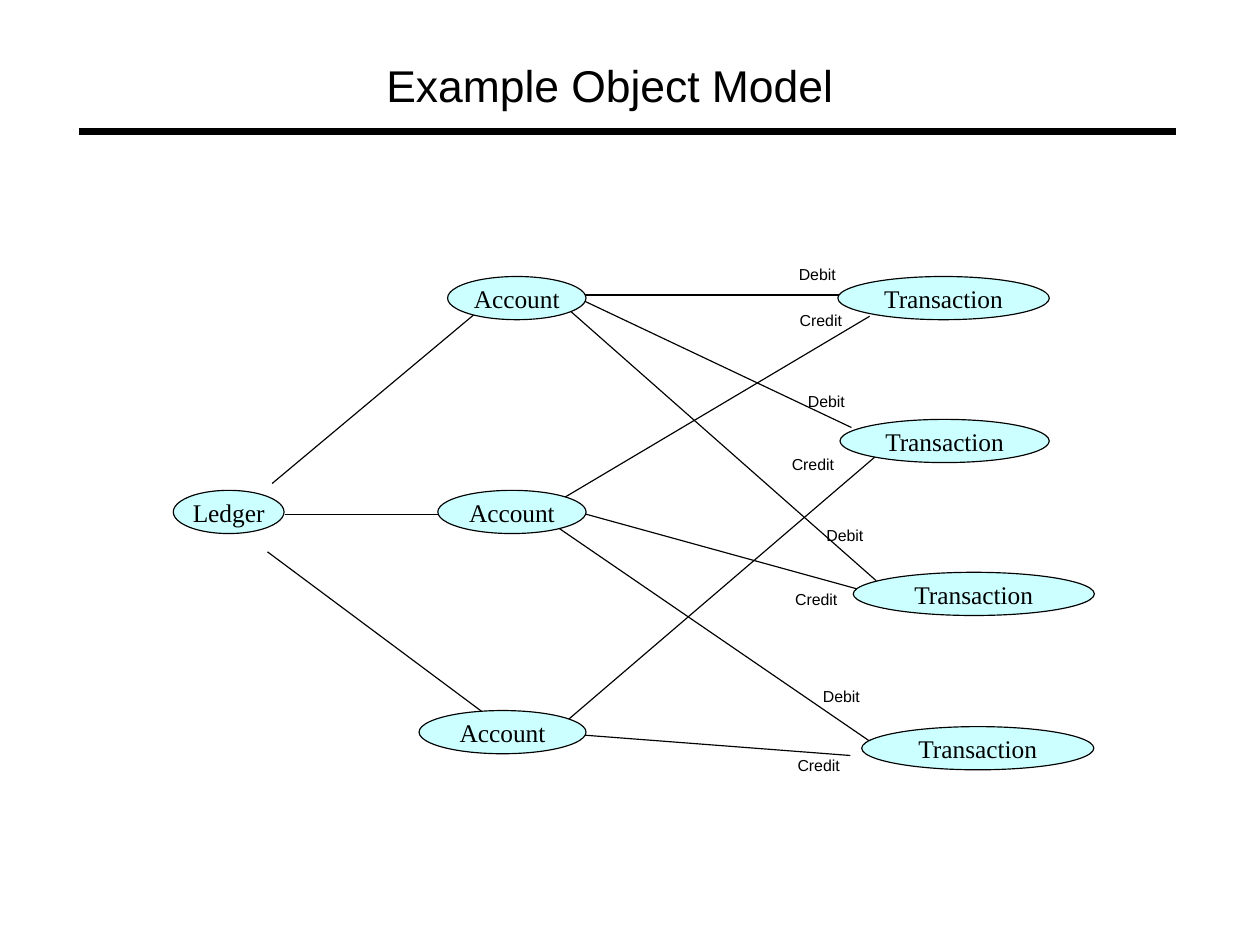
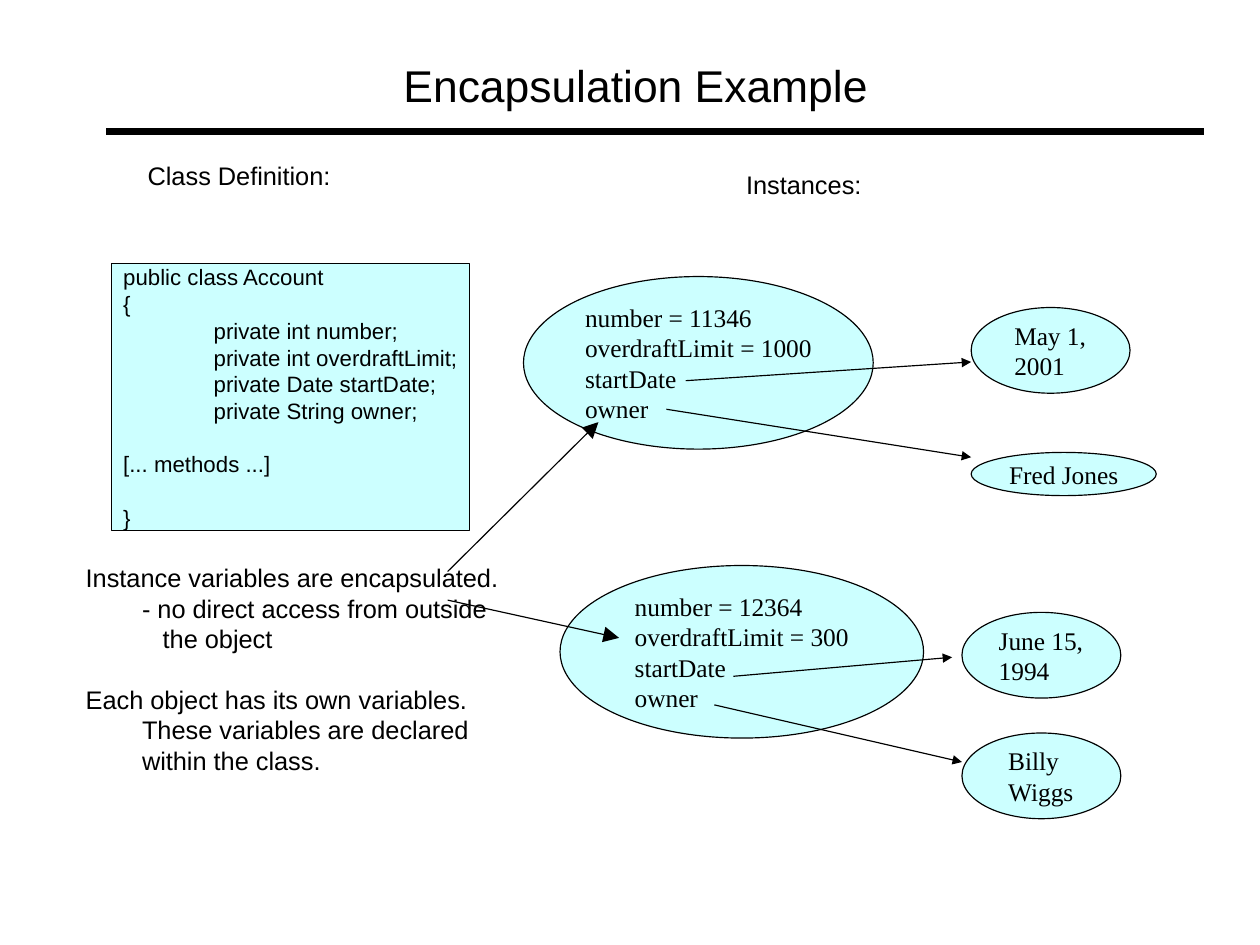
from lxml import etree
from pptx import Presentation
from pptx.dml.color import RGBColor
from pptx.enum.shapes import MSO_CONNECTOR, MSO_SHAPE
from pptx.enum.text import MSO_ANCHOR, PP_ALIGN
from pptx.oxml.ns import qn
from pptx.util import Pt

BLACK = RGBColor(0x00, 0x00, 0x00)
PALE_CYAN = RGBColor(0xCC, 0xFF, 0xFF)
SANS = "Arial"
SERIF = "Times New Roman"
BODY_SIZE = 16
CODE_SIZE = 14
LABEL_SIZE = 10
TITLE_SIZE = 28
LEADING = 1.2
THIN = 0.75
RULE_WIDTH = 4.31
RULE_LENGTH = 691.2
ROW_HEIGHT = 27.2
CODE_TAB = 57

ACCOUNT_RIGHT = 369.2
ACCOUNTS = [(282, 174.2), (275.8, 308.9), (264, 447.6)]
TRANSACTIONS = [(527.8, 174.2, 133.2), (529.2, 264.2, 131.8),
                (537.5, 360.5, 151.9), (542.9, 457.7, 146.2)]

ASSOCIATIONS = [
    (540, 185.8, 347.8, 185.8), (547.9, 199.2, 347.8, 318),
    (536.4, 269.3, 360, 185.8), (558, 282, 347.8, 462),
    (552, 365.8, 347.8, 185.8), (541.2, 371.3, 347.8, 318),
    (558, 473.8, 347.8, 329.8), (535.7, 475.9, 354, 462),
    (171.4, 304.6, 306, 192), (179.3, 324, 298, 324),
    (168.5, 347.6, 306, 450),
]
ROLE_PLACES = {
    "Debit": [(503.2, 166.6), (509, 246.6), (520.6, 331), (518.4, 432.4)],
    "Credit": [(503.8, 196), (498.8, 286.4), (500.9, 371.5), (502.4, 475.9)],
}

CODE = [
    ("public class Account", 0, 0),
    ("{", 0, 0),
    ("\tprivate int number;", 0, 0),
    ("\tprivate int overdraftLimit;", 0, 0),
    ("\tprivate Date startDate;", 0, 0),
    ("\tprivate String owner;", 0, 0),
    ("[... methods ...]", 0, 1),
    ("}", 0, 1),
]
REMARKS = [
    ("Instance variables are encapsulated.", 0, 0),
    ("- no direct access from outside", 35.5, 0),
    ("the object", 48.5, 0),
    ("Each object has its own variables.", 0, 1),
    ("These variables are declared", 35.5, 0),
    ("within the class.", 35.5, 0),
]
# Left, top, width, height, left inset, lines
INSTANCES = [
    (329.8, 174.2, 220.3, 108.7, 6.5,
     ["number = 11346", "overdraftLimit = 1000", "startDate", "owner"]),
    (352.8, 356.2, 229, 108.7, 13.5,
     ["number = 12364", "overdraftLimit = 300", "startDate", "owner"]),
    (611.8, 193.7, 100.1, 54, 12.5, ["May 1, 2001"]),
    (606, 385.7, 100.1, 54, 8.5, ["June 15, 1994"]),
    (606, 461.7, 100.1, 54, 14.5, ["Billy Wiggs"]),
]
REFERENCES = [
    (432, 239.8, 611.8, 228), (419.8, 257.8, 611.8, 288),
    (462, 426, 599.8, 414), (450, 444, 606, 480),
]
REMARK_ARROWS = [(282, 360, 377, 265.9), (282, 378, 390, 401.8)]


def plain(*lines):
    return [(line, 0, 0) for line in lines]


def fill_text(frame, lines, size, font, align=PP_ALIGN.LEFT, inset=0, wrap=True, tab=None):
    """Write lines given as (text, indent, skipped lines before)."""
    frame.word_wrap = wrap
    frame.margin_left = Pt(inset)
    frame.margin_top = frame.margin_right = frame.margin_bottom = 0
    for number, (text, indent, skipped) in enumerate(lines):
        paragraph = frame.paragraphs[0] if number == 0 else frame.add_paragraph()
        paragraph.text = text
        paragraph.alignment = align
        paragraph.line_spacing = Pt(size * LEADING)
        if skipped:
            paragraph.space_before = Pt(size * LEADING * skipped)
        properties = paragraph._p.get_or_add_pPr()
        if indent:
            properties.set("marL", str(Pt(indent)))
        if tab:
            stops = etree.SubElement(properties, qn("a:tabLst"))
            etree.SubElement(stops, qn("a:tab"), pos=str(Pt(tab)), algn="l")
        for run in paragraph.runs:
            run.font.size = Pt(size)
            run.font.name = font
            run.font.color.rgb = BLACK


def add_text(slide, left, top, width, lines, size=BODY_SIZE, wrap=False):
    height = size * LEADING * sum(1 + skipped for _, _, skipped in lines)
    box = slide.shapes.add_textbox(Pt(left), Pt(top), Pt(width), Pt(height))
    fill_text(box.text_frame, lines, size, SANS, wrap=wrap)


def add_node(slide, kind, left, top, width, height):
    node = slide.shapes.add_shape(kind, Pt(left), Pt(top), Pt(width), Pt(height))
    node.shadow.inherit = False
    node.fill.solid()
    node.fill.fore_color.rgb = PALE_CYAN
    node.line.color.rgb = BLACK
    node.line.width = Pt(THIN)
    node.text_frame.vertical_anchor = MSO_ANCHOR.MIDDLE
    return node


def add_object(slide, left, top, width, text):
    """Draw a one-line ellipse with its text in the middle."""
    ellipse = add_node(slide, MSO_SHAPE.OVAL, left, top, width, ROW_HEIGHT)
    fill_text(ellipse.text_frame, plain(text), BODY_SIZE, SERIF, PP_ALIGN.CENTER, wrap=False)


def add_line(slide, x1, y1, x2, y2, width=THIN, head=None):
    """Draw a line; head is the arrowhead size at its end, "med" or "lg"."""
    line = slide.shapes.add_connector(MSO_CONNECTOR.STRAIGHT, Pt(x1), Pt(y1), Pt(x2), Pt(y2))
    line.line.color.rgb = BLACK
    line.line.width = Pt(width)
    if head:
        etree.SubElement(line.line._get_or_add_ln(), qn("a:tailEnd"),
                         type="triangle", w=head, len=head)
    etree.SubElement(line._element.spPr, qn("a:effectLst"))


def add_titled_slide(deck, title, title_left, title_width, rule_left):
    slide = deck.slides.add_slide(deck.slide_layouts[6])
    add_line(slide, rule_left, 82.6, rule_left + RULE_LENGTH, 82.6, RULE_WIDTH)
    add_text(slide, title_left, 36.4, title_width, plain(title), TITLE_SIZE)
    return slide


def build_object_model(deck):
    slide = add_titled_slide(deck, "Example Object Model", 243.4, 294.5, 49.7)
    for ends in ASSOCIATIONS:
        add_line(slide, *ends)
    for role, places in ROLE_PLACES.items():
        for left, top in places:
            add_text(slide, left, top, 27, plain(role), LABEL_SIZE)
    add_object(slide, 109.2, 308.9, 69.8, "Ledger")
    for left, top in ACCOUNTS:
        add_object(slide, left, top, ACCOUNT_RIGHT - left, "Account")
    for left, top, width in TRANSACTIONS:
        add_object(slide, left, top, width, "Transaction")


def build_encapsulation(deck):
    slide = add_titled_slide(deck, "Encapsulation Example", 254.2, 305.3, 67)
    class_box = add_node(slide, MSO_SHAPE.RECTANGLE, 70.5, 166, 225.2, 168.3)
    fill_text(class_box.text_frame, CODE, CODE_SIZE, SANS, inset=7.2, tab=CODE_TAB)
    add_text(slide, 93, 100.8, 157, plain("Class Definition:"))
    add_text(slide, 470, 106.6, 112.3, plain("Instances:"))
    for left, top, width, height, inset, lines in INSTANCES:
        ellipse = add_node(slide, MSO_SHAPE.OVAL, left, top, width, height)
        fill_text(ellipse.text_frame, plain(*lines), BODY_SIZE, SERIF, inset=inset)
    add_object(slide, 611.8, 285, 116.6, "Fred Jones")
    for ends in REMARK_ARROWS:
        add_line(slide, *ends, head="lg")
    add_text(slide, 54, 354.1, 260, REMARKS)
    for ends in REFERENCES:
        add_line(slide, *ends, head="med")


def main():
    deck = Presentation()
    deck.slide_width = Pt(793.75)
    deck.slide_height = Pt(595.25)
    build_object_model(deck)
    build_encapsulation(deck)
    deck.save("out.pptx")


if __name__ == "__main__":
    main()
